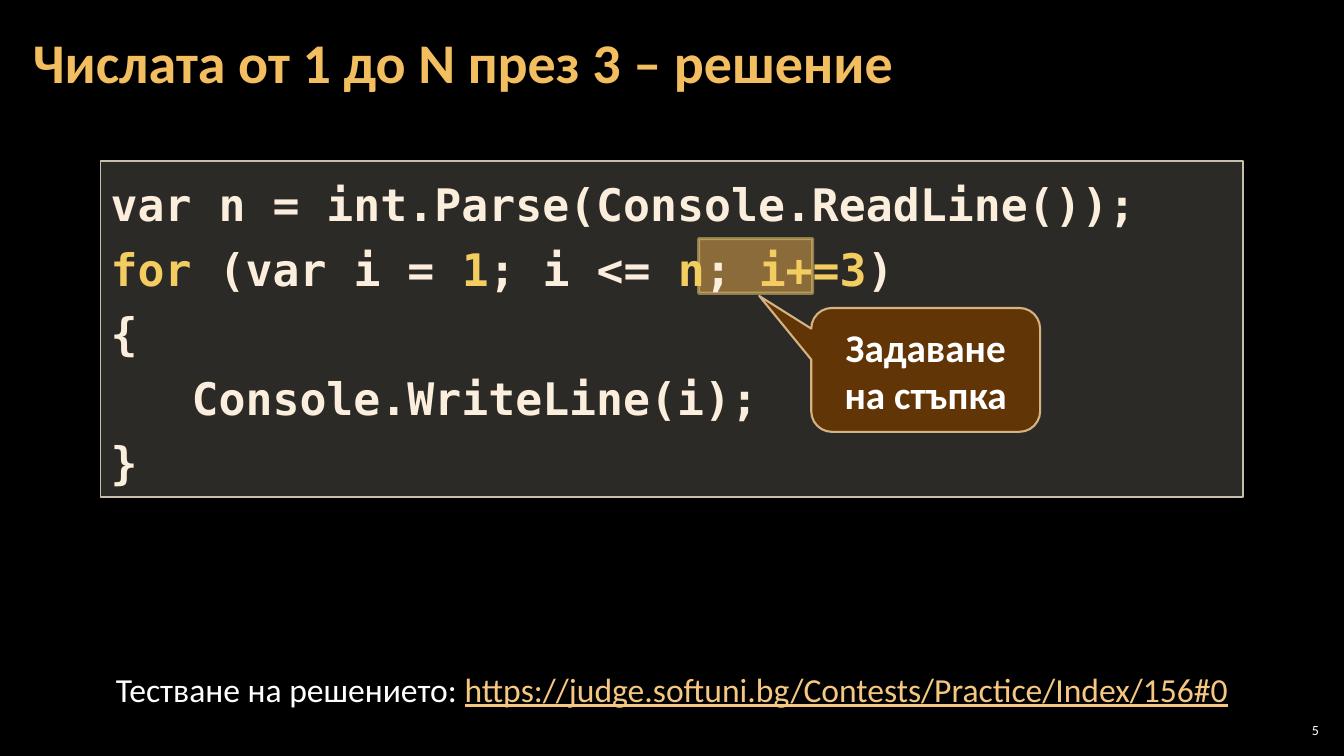
from lxml.etree import SubElement
from pptx import Presentation
from pptx.dml.color import RGBColor
from pptx.enum.shapes import MSO_SHAPE as Shape
from pptx.enum.text import MSO_ANCHOR as Anchor, MSO_AUTO_SIZE as AutoSize, PP_ALIGN as Align
from pptx.oxml.ns import qn
from pptx.util import Pt

BLACK = RGBColor(0x00, 0x00, 0x00)
WHITE = RGBColor(0xFF, 0xFF, 0xFF)
TITLE_GOLD = RGBColor(0xF3, 0xBE, 0x60)
LINK_GOLD = RGBColor(0xF6, 0xC7, 0x81)
KEYWORD = RGBColor(0xF3, 0xCD, 0x60)
CODE = RGBColor(0xFB, 0xEE, 0xDC)
PANEL = RGBColor(0xD9, 0xD5, 0xC7)
PANEL_EDGE = RGBColor(0xC7, 0xBF, 0xAC)
ORANGE = RGBColor(0xF0, 0xA2, 0x2E)
BROWN = RGBColor(0x66, 0x36, 0x06)
BROWN_EDGE = RGBColor(0xF8, 0xD4, 0x9E)

SANS, MONO = "Calibri", "DejaVu Sans Mono"

CODE_LINES = [
    [("var n = int.Parse(Console.ReadLine());", CODE)],
    [("for", KEYWORD), (" (var i = ", CODE), ("1", KEYWORD), ("; i <= ", CODE),
     ("n", KEYWORD), ("; ", CODE), ("i+=3", KEYWORD), (")", CODE)],
    [("{", CODE)],
    [("   Console.WriteLine(i);", CODE)],
    [("}", CODE)],
]


def set_fill(fill, color, opacity=100):
    fill.solid()
    fill.fore_color.rgb = color
    if opacity < 100:
        # The colour element takes the opacity in thousandths of a percent
        color_element = next(fill._xPr.iter(qn("a:srgbClr")))
        SubElement(color_element, qn("a:alpha"), val=str(opacity * 1000))


def write(frame, lines, para_format, font_format, anchor=Anchor.TOP, insets=(7.2, 3.6)):
    """Fill a frame with lines, each a list of (words, colour) spans."""
    side, edge = insets
    frame_format = dict(word_wrap=True, auto_size=AutoSize.NONE, vertical_anchor=anchor,
                        margin_left=Pt(side), margin_right=Pt(side),
                        margin_top=Pt(edge), margin_bottom=Pt(edge))
    for name, value in frame_format.items():
        setattr(frame, name, value)
    for index, spans in enumerate(lines):
        para = frame.add_paragraph() if index else frame.paragraphs[0]
        for name, value in para_format.items():
            setattr(para, name, value)
        for words, color in spans:
            span = para.add_run()
            span.text = words
            span.font.color.rgb = color
            for name, value in font_format.items():
                setattr(span.font, name, value)


def add_box(page, kind, box, fill, edge, weight):
    """Add a shape; fill and edge are (colour, opacity) pairs."""
    shape = page.shapes.add_shape(kind, *map(Pt, box))
    shape.shadow.inherit = False
    set_fill(shape.fill, *fill)
    set_fill(shape.line.fill, *edge)
    shape.line.width = Pt(weight)
    return shape


def add_title(page, box):
    title = page.shapes.title
    for name, value in zip(("left", "top", "width", "height"), box):
        setattr(title, name, Pt(value))
    write(title.text_frame, [[("Числата от 1 до N през 3 – решение", TITLE_GOLD)]],
          dict(alignment=Align.LEFT, line_spacing=0.9),
          dict(name=SANS, size=Pt(40), bold=True), Anchor.MIDDLE, (8.5, 2.8))


def add_code_panel(page, box):
    left, top, width, height = box
    # Step highlight, behind the panel
    add_box(page, Shape.RECTANGLE, (left + 427, top + 55.5, 81.5, 39),
            (ORANGE, 50), (KEYWORD, 50), 2.25)
    # Code
    panel = add_box(page, Shape.RECTANGLE, box, (PANEL, 20), (PANEL_EDGE, 100), 1)
    write(panel.text_frame, CODE_LINES, dict(alignment=Align.LEFT, line_spacing=1.2),
          dict(name=MONO, size=Pt(32), bold=True))
    # Callout pointing at the step
    callout = add_box(page, Shape.ROUNDED_RECTANGULAR_CALLOUT,
                      (left + 507.5, top + 105, 163.5, 88.5),
                      (BROWN, 95), (BROWN_EDGE, 80), 1.5)
    for index, value in enumerate((-0.727, -0.597, 0.167)):
        callout.adjustments[index] = value
    write(callout.text_frame, [[("Задаване на стъпка", WHITE)]],
          dict(alignment=Align.CENTER), dict(name=SANS, size=Pt(28), bold=True), Anchor.MIDDLE)


def add_test_address(page, box):
    frame = page.shapes.add_textbox(*map(Pt, box)).text_frame
    write(frame, [[("Тестване на решението: ", WHITE),
                   ("https://judge.softuni.bg/Contests/Practice/Index/156#0", LINK_GOLD)]],
          dict(alignment=Align.CENTER), dict(name=SANS, size=Pt(24)))
    frame.paragraphs[0].runs[-1].font.underline = True


def add_page_number(page, box):
    frame = page.shapes.add_textbox(*map(Pt, box)).text_frame
    write(frame, [[("5", WHITE)]], dict(alignment=Align.RIGHT),
          dict(name=SANS, size=Pt(10)), Anchor.MIDDLE, (2.8, 2.8))


def main():
    deck = Presentation()
    deck.slide_width, deck.slide_height = Pt(960), Pt(540)
    page = deck.slides.add_slide(deck.slide_layouts[5])
    set_fill(page.background.fill, BLACK)
    add_title(page, (15, 3, 754, 87))
    add_code_panel(page, (72, 115, 816, 240))
    add_test_address(page, (60, 474, 840, 36))
    add_page_number(page, (911, 514, 34, 15))
    deck.save("out.pptx")


if __name__ == "__main__":
    main()
